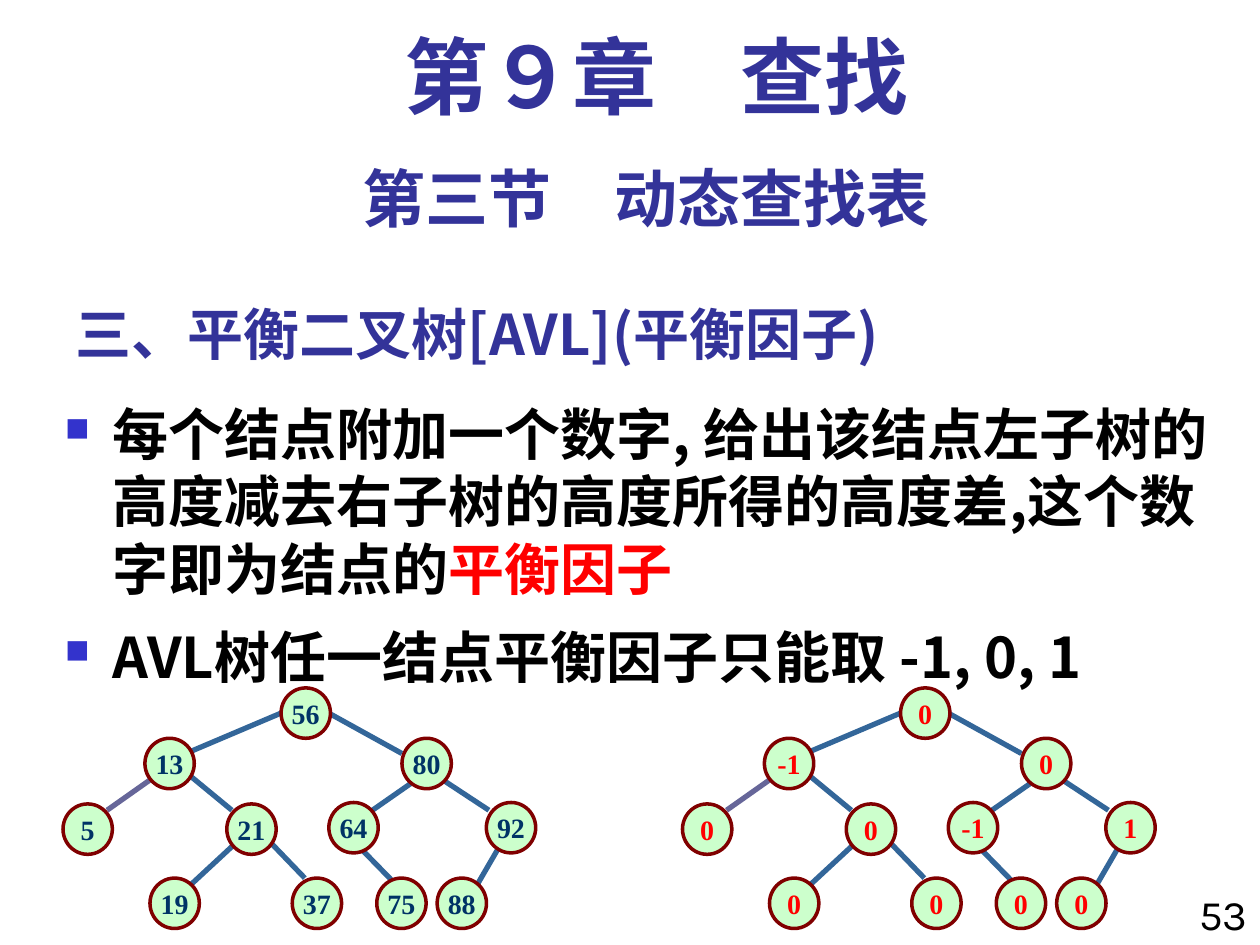
import pptx
import pptx.dml.color
import pptx.enum.shapes
import pptx.enum.text
import pptx.oxml.ns
import pptx.util
from lxml import etree

Pt = pptx.util.Pt
ALIGN = pptx.enum.text.PP_ALIGN
ANCHOR = pptx.enum.text.MSO_ANCHOR

THEME = {
    "heading": "333399", "body": "000000", "accent": "FF0000", "bullet": "3333CC",
    "node_fill": "CCFFCC", "node_line": "800000", "key": "003366",
    "edge": "336699", "light_edge": "666699",
    "cjk_font": "Noto Sans CJK SC", "sans_font": "Karla", "serif_font": "Times New Roman",
    "chapter_size": 48, "section_size": 36, "body_size": 32, "number_size": 24, "node_size": 16,
}

# text, box (left, top, width, height), font, size, alignment, anchor, line spacing
HEADINGS = [
    ("三、平衡二叉树[AVL](平衡因子)", (36, 156.2, 492, 54), "cjk_font", "body_size",
     ALIGN.LEFT, ANCHOR.BOTTOM, 1),
    ("第三节　动态查找表", (36, 84.2, 666, 50.4), "sans_font", "section_size",
     ALIGN.CENTER, ANCHOR.TOP, 1),
    ("第９章　查找", (48.2, 12.2, 653.8, 59.8), "serif_font", "chapter_size",
     ALIGN.CENTER, ANCHOR.TOP, 0.9),
]

# each bullet is a list of (text, colour)
BODY_BOX = (30, 222, 690, 318)
BULLETS = [
    [("每个结点附加一个数字, 给出该结点左子树的高度减去右子树的高度所得的高度差,这个数字即为结点的", "body"),
     ("平衡因子", "accent")],
    [("AVL树任一结点平衡因子只能取 -1, 0, 1", "body")],
]

PAGE_NUMBER = "53"
PAGE_NUMBER_BOX = (672, 504, 48, 42.5)

# key, balance factor, left, top
NODES = [
    ("56", "0", 160.6, 393.1),
    ("13", "-1", 82.8, 421.9), ("80", "0", 229.7, 421.9),
    ("5", "0", 36, 459.4), ("21", "0", 129.6, 459.4),
    ("64", "-1", 187.9, 458.6), ("92", "1", 277.9, 458.6),
    ("19", "0", 85.7, 501.8), ("37", "0", 167, 501.8),
    ("75", "0", 215.3, 501.8), ("88", "0", 249.8, 501.8),
]
# start x, start y, end x, end y, colour
EDGES = [
    (160.6, 407.5, 108, 429.8, "edge"), (85.7, 445.7, 61.2, 463, "light_edge"),
    (187.9, 407.5, 229.7, 430.6, "edge"), (108, 442.8, 132.5, 463, "edge"),
    (132.5, 483.8, 102.2, 511.9, "edge"), (254.2, 446.4, 279.4, 463, "edge"),
    (239.8, 444.2, 208.8, 465.8, "edge"), (201.6, 480.2, 229.7, 509, "edge"),
    (291.6, 473, 270.7, 509, "edge"), (153.4, 480.2, 174.2, 501.8, "edge"),
]
NODE_WIDTH, NODE_HEIGHT = 28.2, 28.8
TREE_SHIFT = 354
LINE_HEIGHT = 1.2      # of the type size
BASELINE_DROP = 0.088  # of the type size, taken from the insets


def colour(name):
    return pptx.dml.color.RGBColor.from_string(THEME[name])


def format_run(run, font, size, colour_name, bold=True):
    run.font.name = THEME[font]
    run.font.size = Pt(THEME[size])
    run.font.bold = bold
    run.font.color.rgb = colour(colour_name)
    east_asian = etree.SubElement(run.font._element, pptx.oxml.ns.qn("a:ea"))
    east_asian.set("typeface", THEME["cjk_font"])


def add_text_box(slide, box, size, anchor=ANCHOR.TOP):
    """Add a wrapping text box whose insets lower the text slightly."""
    frame = slide.shapes.add_textbox(*map(Pt, box)).text_frame
    frame.word_wrap = True
    frame.vertical_anchor = anchor
    drop = BASELINE_DROP * THEME[size]
    frame.margin_top = Pt(3.6 + drop)
    frame.margin_bottom = Pt(3.6 - min(drop, 3.6))
    return frame


def add_heading(slide, text, box, font, size, alignment, anchor, spacing):
    frame = add_text_box(slide, box, size, anchor)
    frame.text = text
    paragraph = frame.paragraphs[0]
    paragraph.alignment = alignment
    paragraph.line_spacing = Pt(THEME[size] * LINE_HEIGHT * spacing)
    format_run(paragraph.runs[0], font, size, "heading")


def add_bullet(paragraph):
    properties = paragraph._p.get_or_add_pPr()
    properties.set("marL", str(Pt(27)))
    properties.set("indent", str(-Pt(27)))
    bullet_colour = etree.SubElement(properties, pptx.oxml.ns.qn("a:buClr"))
    etree.SubElement(bullet_colour, pptx.oxml.ns.qn("a:srgbClr")).set("val", THEME["bullet"])
    etree.SubElement(properties, pptx.oxml.ns.qn("a:buSzPct")).set("val", "60000")
    etree.SubElement(properties, pptx.oxml.ns.qn("a:buChar")).set("char", "■")


def add_body(slide):
    frame = add_text_box(slide, BODY_BOX, "body_size")
    for index, parts in enumerate(BULLETS):
        paragraph = frame.add_paragraph() if index else frame.paragraphs[0]
        add_bullet(paragraph)
        paragraph.line_spacing = Pt(THEME["body_size"] * LINE_HEIGHT)
        if index:
            paragraph.space_before = Pt(12)
        for text, colour_name in parts:
            run = paragraph.add_run()
            run.text = text
            format_run(run, "cjk_font", "body_size", colour_name)


def add_page_number(slide):
    frame = slide.shapes.add_textbox(*map(Pt, PAGE_NUMBER_BOX)).text_frame
    frame.word_wrap = True
    frame.text = PAGE_NUMBER
    paragraph = frame.paragraphs[0]
    paragraph.alignment = ALIGN.RIGHT
    format_run(paragraph.runs[0], "sans_font", "number_size", "body", bold=False)


def add_edge(tree, shift, start_x, start_y, end_x, end_y, colour_name):
    edge = tree.shapes.add_connector(
        pptx.enum.shapes.MSO_CONNECTOR.STRAIGHT,
        Pt(start_x + shift), Pt(start_y), Pt(end_x + shift), Pt(end_y))
    edge.line.color.rgb = colour(colour_name)
    edge.line.width = Pt(3)
    etree.SubElement(edge._element.spPr, pptx.oxml.ns.qn("a:effectLst"))


def add_node(tree, text, left, top, colour_name):
    node = tree.shapes.add_shape(
        pptx.enum.shapes.MSO_SHAPE.OVAL, Pt(left), Pt(top), Pt(NODE_WIDTH), Pt(NODE_HEIGHT))
    node.shadow.inherit = False
    node.fill.solid()
    node.fill.fore_color.rgb = colour("node_fill")
    node.line.color.rgb = colour("node_line")
    node.line.width = Pt(2)
    frame = node.text_frame
    frame.word_wrap = False
    frame.vertical_anchor = ANCHOR.MIDDLE
    frame.text = text
    paragraph = frame.paragraphs[0]
    paragraph.alignment = ALIGN.CENTER
    format_run(paragraph.runs[0], "serif_font", "node_size", colour_name)


def add_tree(slide, shift, show_factors):
    tree = slide.shapes.add_group_shape()
    for edge in EDGES:
        add_edge(tree, shift, *edge)
    for key, factor, left, top in NODES:
        text, colour_name = (factor, "accent") if show_factors else (key, "key")
        add_node(tree, text, left + shift, top, colour_name)


def main():
    presentation = pptx.Presentation()
    presentation.slide_width, presentation.slide_height = Pt(720), Pt(540)
    slide = presentation.slides.add_slide(presentation.slide_layouts[6])
    for heading in HEADINGS:
        add_heading(slide, *heading)
    add_page_number(slide)
    add_body(slide)
    add_tree(slide, 0, show_factors=False)
    add_tree(slide, TREE_SHIFT, show_factors=True)
    presentation.save("out.pptx")


if __name__ == "__main__":
    main()
